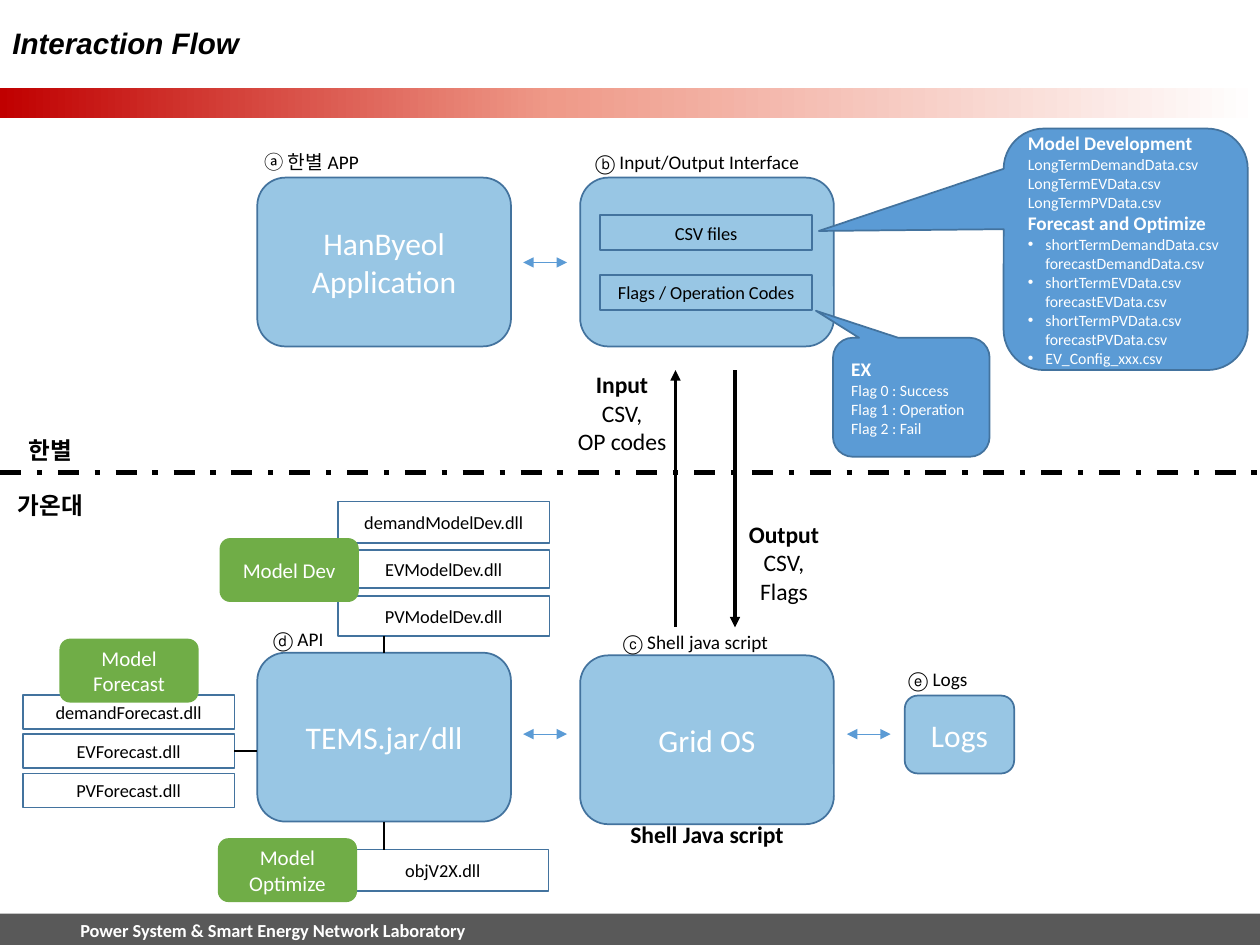
"""Build the Interaction Flow slide."""
from copy import deepcopy
from dataclasses import dataclass
from typing import Optional

from lxml.etree import SubElement
from pptx import Presentation
from pptx.dml.color import RGBColor
from pptx.enum.dml import MSO_LINE
from pptx.enum.shapes import MSO_CONNECTOR, MSO_SHAPE as Preset
from pptx.enum.text import MSO_ANCHOR as Anchor, PP_ALIGN as Align
from pptx.oxml.ns import qn
from pptx.util import Pt

BLACK = RGBColor(0x00, 0x00, 0x00)
WHITE = RGBColor(0xFF, 0xFF, 0xFF)
GREY = RGBColor(0x59, 0x59, 0x59)
RED = RGBColor(0xC0, 0x00, 0x00)
SALMON = RGBColor(0xEF, 0x9A, 0x89)
PALE_BLUE = RGBColor(0x98, 0xC6, 0xE4)
BLUE = RGBColor(0x5B, 0x9B, 0xD5)
EDGE = RGBColor(0x43, 0x73, 0x9E)
GREEN = RGBColor(0x70, 0xAD, 0x47)


@dataclass(frozen=True)
class Para:
    text: str
    size: float
    bold: bool = False
    bullet: bool = False
    italic: bool = False
    face: str = "Calibri"


@dataclass(frozen=True)
class Box:
    left: float
    top: float
    width: float
    height: float
    paras: tuple = ()
    preset: Preset = Preset.RECTANGLE
    fill: Optional[RGBColor] = None
    edge: Optional[RGBColor] = EDGE
    ink: RGBColor = BLACK
    align: Align = Align.CENTER
    adjust: tuple = ()


@dataclass(frozen=True)
class Link:
    x1: float
    y1: float
    x2: float
    y2: float
    color: RGBColor = BLACK
    width: float = 1.25
    ends: tuple = ()
    dash: Optional[MSO_LINE] = None


def write(frame, paras: tuple, ink: RGBColor, align: Align, anchor: Anchor) -> None:
    """Fill a text frame with formatted paragraphs."""
    frame.word_wrap = True
    frame.vertical_anchor = anchor
    for index, para in enumerate(paras):
        line = frame.paragraphs[0] if index == 0 else frame.add_paragraph()
        line.text = para.text.replace("\n", "\v")
        line.alignment = align
        looks = {"name": para.face, "size": Pt(para.size), "bold": para.bold, "italic": para.italic}
        for run in line.runs:
            run.font.color.rgb = ink
            for key, value in looks.items():
                setattr(run.font, key, value)
        for gap in line._p.findall(qn("a:br")):
            gap.append(deepcopy(line.runs[0]._r.rPr))
        if para.bullet:
            props = line._p.get_or_add_pPr()
            props.set("marL", str(Pt(10)))
            props.set("indent", str(-Pt(10)))
            SubElement(props, qn("a:buFont"), typeface="Arial")
            SubElement(props, qn("a:buChar"), char="•")


def draw_box(shapes, box: Box):
    """Draw one preset shape with its text."""
    shape = shapes.add_shape(box.preset, Pt(box.left), Pt(box.top), Pt(box.width), Pt(box.height))
    shape.shadow.inherit = False
    for index, value in enumerate(box.adjust):
        shape.adjustments[index] = value
    if box.fill is None:
        shape.fill.background()
    else:
        shape.fill.solid()
        shape.fill.fore_color.rgb = box.fill
    if box.edge is None:
        shape.line.fill.background()
    else:
        shape.line.color.rgb = box.edge
        shape.line.width = Pt(1)
    write(shape.text_frame, box.paras, box.ink, box.align, Anchor.MIDDLE)
    return shape


def draw_label(shapes, left: float, top: float, width: float, height: float, *paras: Para,
               ink: RGBColor = BLACK, align: Align = Align.CENTER, anchor: Anchor = Anchor.TOP):
    """Draw a text box."""
    label = shapes.add_textbox(Pt(left), Pt(top), Pt(width), Pt(height))
    write(label.text_frame, paras, ink, align, anchor)
    return label


def draw_link(shapes, link: Link) -> None:
    """Draw one line with optional arrowheads."""
    line = shapes.add_connector(MSO_CONNECTOR.STRAIGHT, Pt(link.x1), Pt(link.y1), Pt(link.x2), Pt(link.y2))
    line.line.color.rgb = link.color
    line.line.width = Pt(link.width)
    if link.dash is not None:
        line.line.dash_style = link.dash
    for end in link.ends:
        SubElement(line.line._get_or_add_ln(), qn(f"a:{end}"), type="triangle")
    SubElement(line._element.spPr, qn("a:effectLst"))


def draw_banner(shapes) -> None:
    """Draw the fading band under the title."""
    band = draw_box(shapes, Box(0, 50.5, 720, 17, edge=None))
    band.fill.gradient()
    band.fill.gradient_angle = 0
    stop_list = band._element.spPr.find(qn("a:gradFill")).find(qn("a:gsLst"))
    stop_list.append(deepcopy(stop_list[-1]))
    for stop, (place, color) in zip(band.fill.gradient_stops, ((0, RED), (0.44, SALMON), (1, WHITE))):
        stop.position = place
        stop.color.rgb = color


def panel(left: float, top: float, *lines: str, width: float = 145, height: float = 96.5) -> Box:
    """Describe a main system block."""
    return Box(left, top, width, height, tuple(Para(line, 18) for line in lines),
               Preset.ROUNDED_RECTANGLE, PALE_BLUE, ink=WHITE)


def item(left: float, top: float, height: float, text: str, fill: Optional[RGBColor] = None) -> Box:
    """Describe a file or code box."""
    return Box(left, top, 121, height, (Para(text, 10.5),), fill=fill)


def tag(left: float, top: float, text: str) -> Box:
    """Describe a green model tag."""
    return Box(left, top, 79.5, 36.5, (Para(text, 12),), Preset.ROUNDED_RECTANGLE, GREEN, None, WHITE)


def callout(left: float, top: float, width: float, height: float, adjust: tuple, *paras: Para) -> Box:
    """Describe a speech callout."""
    return Box(left, top, width, height, paras, Preset.ROUNDED_RECTANGULAR_CALLOUT, BLUE,
               ink=WHITE, align=Align.LEFT, adjust=adjust)


deck = Presentation()
deck.slide_width, deck.slide_height = Pt(720), Pt(540)
shapes = deck.slides.add_slide(deck.slide_layouts[6]).shapes

API_X, OS_X, TOP_Y = 147, 331.5, 101.5
long_term = [Para(f"LongTerm{kind}Data.csv", 9) for kind in ("Demand", "EV", "PV")]
short_term = [Para(f"shortTerm{kind}Data.csv\nforecast{kind}Data.csv", 9, bullet=True)
              for kind in ("Demand", "EV", "PV")]
flags = [Para(f"Flag {code} : {name}", 9) for code, name in enumerate(("Success", "Operation", "Fail"))]

draw_box(shapes, Box(0, 522, 720, 18, fill=GREY, edge=None))
draw_banner(shapes)
draw_label(shapes, 0, 523.5, 312, 16.5, Para("Power System & Smart Energy Network Laboratory", 10.5, True),
           ink=WHITE, anchor=Anchor.MIDDLE)
draw_label(shapes, 0, 5.5, 720, 37.5, Para("Interaction Flow", 16.9, True, italic=True, face="Arial"),
           align=Align.LEFT, anchor=Anchor.MIDDLE)
draw_link(shapes, Link(0, 270, 720, 270, width=3, dash=MSO_LINE.DASH_DOT))

boxes = [
    panel(API_X, 373, "TEMS.jar/dll"),
    panel(517, 397.5, "Logs", width=62.5, height=44.5),
    panel(OS_X, TOP_Y),
    item(343, 123, 20, "CSV files", PALE_BLUE),
    item(343, 157, 20, "Flags / Operation Codes", PALE_BLUE),
    callout(573.5, 73.5, 139.5, 138, (-1.257, -0.076, 0.167), Para("Model Development", 11, True),
            *long_term, Para("Forecast and Optimize", 11, True), *short_term,
            Para("EV_Config_xxx.csv", 9, bullet=True)),
    callout(476, 193, 89.5, 68, (-0.609, -0.727, 0.167), Para("EX", 11, True), *flags),
    panel(OS_X, 374.5, "Grid OS"),
    item(193, 286.5, 24, "demandModelDev.dll"),
    item(193, 314.5, 21.5, "EVModelDev.dll"),
    item(193, 340.5, 23, "PVModelDev.dll"),
    tag(125.5, 307.5, "Model Dev"),
    *(item(13, 397 + 22.5 * row, 19.5, f"{kind}Forecast.dll")
      for row, kind in enumerate(("demand", "EV", "PV"))),
    tag(34, 365, "Model\nForecast"),
    item(192.5, 485.5, 23.5, "objV2X.dll"),
    tag(124.5, 479, "Model Optimize"),
    panel(API_X, TOP_Y, "HanByeol", "Application"),
]
for box in boxes:
    draw_box(shapes, box)

for x, y in ((299, 150), (299, 419.5), (484, 419.5)):
    draw_link(shapes, Link(x, y, x + 25, y, BLUE, 0.5, ("headEnd", "tailEnd")))
for link in (Link(134, 429, 147, 429), Link(219.5, 363.5, 219.5, 373), Link(219.5, 469.5, 219.5, 485.5),
             Link(386, 211.5, 386, 358.5, width=1.75, ends=("headEnd",)),
             Link(420, 358.5, 420, 211.5, width=1.75, ends=("headEnd",))):
    draw_link(shapes, link)

for left, top, width, text in ((335.5, 465, 137, "Shell Java script"), (0, 245.5, 57.5, "한별"),
                               (0, 277, 57.5, "가온대")):
    draw_label(shapes, left, top, width, 24, Para(text, 13.5, True))
for left, top, heading, detail in ((322, 208, "Input", "CSV,\nOP codes"), (414.5, 293.5, "Output", "CSV,\nFlags")):
    draw_label(shapes, left, top, 67, 56, Para(heading, 13.5, True), Para(detail, 13.5))
for left, top, width, text in ((137, 82.5, 82, "ⓐ 한별 APP"), (332.5, 82.5, 132, "ⓑ Input/Output Interface"),
                               (331.5, 356.5, 132, "ⓒ Shell java script"), (104.5, 355, 132, "ⓓ API"),
                               (470, 378, 132, "ⓔ Logs")):
    draw_label(shapes, left, top, width, 21, Para(text, 11))

deck.save("out.pptx")
